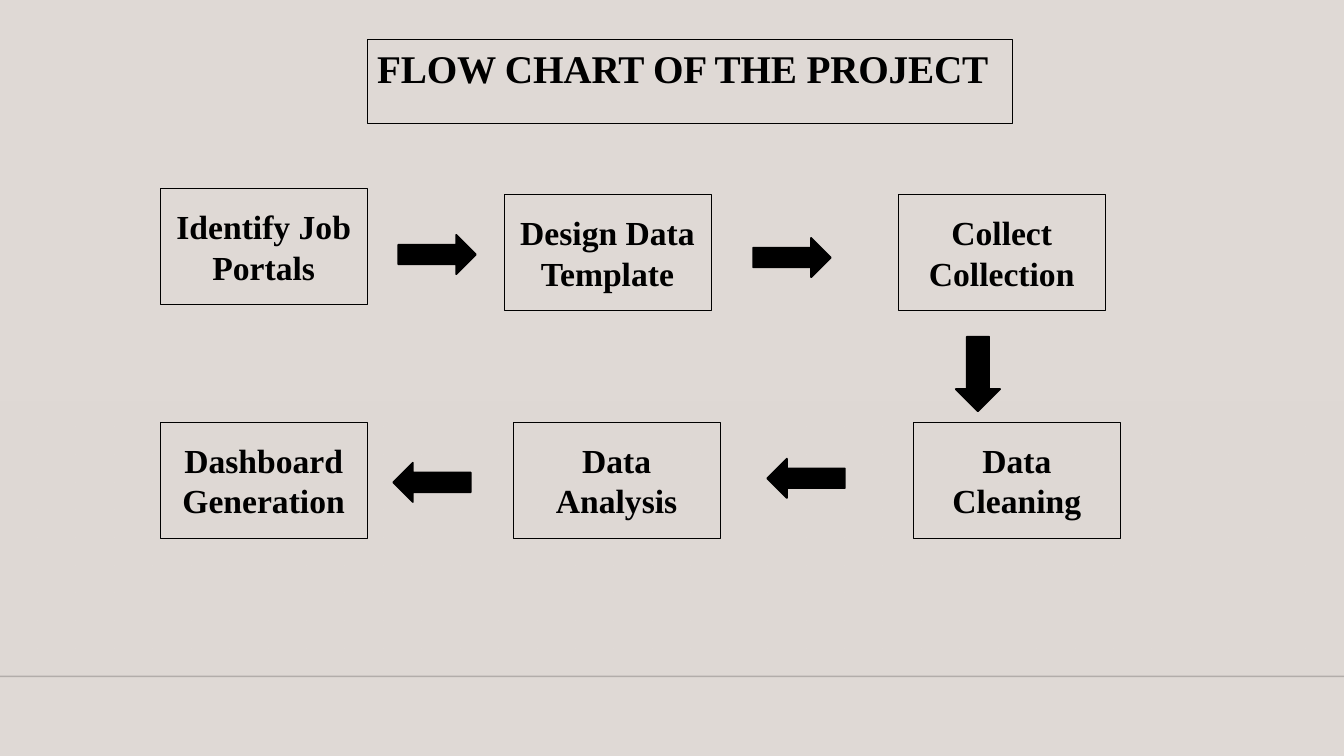
from dataclasses import dataclass

from lxml.etree import SubElement
from pptx import Presentation
from pptx.dml.color import RGBColor
from pptx.enum.shapes import MSO_CONNECTOR, MSO_SHAPE
from pptx.enum.text import MSO_ANCHOR, MSO_AUTO_SIZE, PP_ALIGN
from pptx.oxml.ns import qn
from pptx.util import Inches, Pt

COLORS = {"background": "DFD9D5", "ink": "000000", "floor": "000001"}
FONT = "Times New Roman"
PAGE_WIDTH, PAGE_HEIGHT = 13.33, 7.5
FLOOR_TOP = 6.71
STEP_WIDTH, STEP_HEIGHT = 2.05, 1.15
ARROW_LONG, ARROW_SHORT = 0.77, 0.39


@dataclass(frozen=True)
class Step:
    """A boxed stage of the project."""

    text: str
    left: float
    top: float


@dataclass(frozen=True)
class Arrow:
    """A block arrow between two stages."""

    kind: MSO_SHAPE
    left: float
    top: float
    width: float = ARROW_LONG
    height: float = ARROW_SHORT


STEPS = (
    Step("Identify Job Portals", 1.59, 1.87),
    Step("Design Data Template", 5, 1.93),
    Step("Collect Collection", 8.91, 1.93),
    Step("Data Cleaning", 9.06, 4.19),
    Step("Data Analysis", 5.09, 4.19),
    Step("Dashboard Generation", 1.59, 4.19),
)
ARROWS = (
    Arrow(MSO_SHAPE.RIGHT_ARROW, 3.95, 2.33),
    Arrow(MSO_SHAPE.RIGHT_ARROW, 7.47, 2.36),
    Arrow(MSO_SHAPE.DOWN_ARROW, 9.48, 3.34, 0.44, 0.74),
    Arrow(MSO_SHAPE.LEFT_ARROW, 7.61, 4.55),
    Arrow(MSO_SHAPE.LEFT_ARROW, 3.9, 4.59),
)


def color(name: str) -> RGBColor:
    """Look up a named colour."""
    return RGBColor.from_string(COLORS[name])


def set_opacity(element, percents: tuple[int, ...]) -> None:
    """Give each colour inside the element its opacity in percent."""
    for node, percent in zip(element.iter(qn("a:srgbClr")), percents):
        SubElement(node, qn("a:alpha")).set("val", str(percent * 1000))


def outline(shape, points: float) -> None:
    """Draw a solid dark border."""
    shape.line.color.rgb = color("ink")
    shape.line.width = Pt(points)


def write(shape, text: str, size: int, align: PP_ALIGN, anchor: MSO_ANCHOR):
    """Write one bold line of text and return its run."""
    frame = shape.text_frame
    frame.word_wrap = True
    frame.vertical_anchor = anchor
    para = frame.paragraphs[0]
    para.alignment = align
    span = para.add_run()
    span.text = text
    span.font.name = FONT
    span.font.size = Pt(size)
    span.font.bold = True
    span.font.color.rgb = color("ink")
    return span


def add_block(page, kind: MSO_SHAPE, left: float, top: float, width: float, height: float):
    """Add a preset shape without shadow."""
    shape = page.shapes.add_shape(kind, Inches(left), Inches(top), Inches(width), Inches(height))
    shape.shadow.inherit = False
    return shape


def add_floor(page) -> None:
    """Add the fading band and the thin line below it."""
    band = add_block(page, MSO_SHAPE.RECTANGLE, 0, 3.96, PAGE_WIDTH, 2.74)
    band.line.fill.background()
    band.fill.gradient()
    band.fill.gradient_angle = 270
    for stop, position in zip(band.fill.gradient_stops, (0, 1)):
        stop.color.rgb = color("background")
        stop.position = position
    set_opacity(band.element.spPr, (0, 80))

    floor = page.shapes.add_connector(
        MSO_CONNECTOR.STRAIGHT, 0, Inches(FLOOR_TOP), Inches(PAGE_WIDTH), Inches(FLOOR_TOP)
    )
    floor.line.color.rgb = color("floor")
    floor.line.width = Pt(1)
    properties = floor.element.spPr
    set_opacity(properties, (20,))
    SubElement(properties, qn("a:effectLst"))


def add_title(page) -> None:
    """Place and format the title."""
    title = page.shapes.title
    title.left, title.top = Inches(3.64), Inches(0.39)
    title.width, title.height = Inches(6.4), Inches(0.57)
    outline(title, 0.25)
    span = write(title, "FLOW CHART OF THE PROJECT", 28, PP_ALIGN.LEFT, MSO_ANCHOR.TOP)
    span.font._element.set("spc", "-10")
    title.text_frame.auto_size = MSO_AUTO_SIZE.SHAPE_TO_FIT_TEXT


def add_step(page, step: Step) -> None:
    """Add one outlined stage box."""
    box = add_block(page, MSO_SHAPE.RECTANGLE, step.left, step.top, STEP_WIDTH, STEP_HEIGHT)
    box.fill.background()
    outline(box, 0.25)
    write(box, step.text, 24, PP_ALIGN.CENTER, MSO_ANCHOR.MIDDLE)


def add_arrow(page, arrow: Arrow) -> None:
    """Add one solid block arrow."""
    shape = add_block(page, arrow.kind, arrow.left, arrow.top, arrow.width, arrow.height)
    shape.fill.solid()
    shape.fill.fore_color.rgb = color("ink")
    outline(shape, 1.25)


def main() -> None:
    """Build and save the deck."""
    deck = Presentation()
    deck.slide_width, deck.slide_height = Inches(PAGE_WIDTH), Inches(PAGE_HEIGHT)
    page = deck.slides.add_slide(deck.slide_layouts.get_by_name("Title Only"))
    page.background.fill.solid()
    page.background.fill.fore_color.rgb = color("background")
    add_floor(page)
    add_title(page)
    for step in STEPS:
        add_step(page, step)
    for arrow in ARROWS:
        add_arrow(page, arrow)
    deck.save("out.pptx")


if __name__ == "__main__":
    main()
